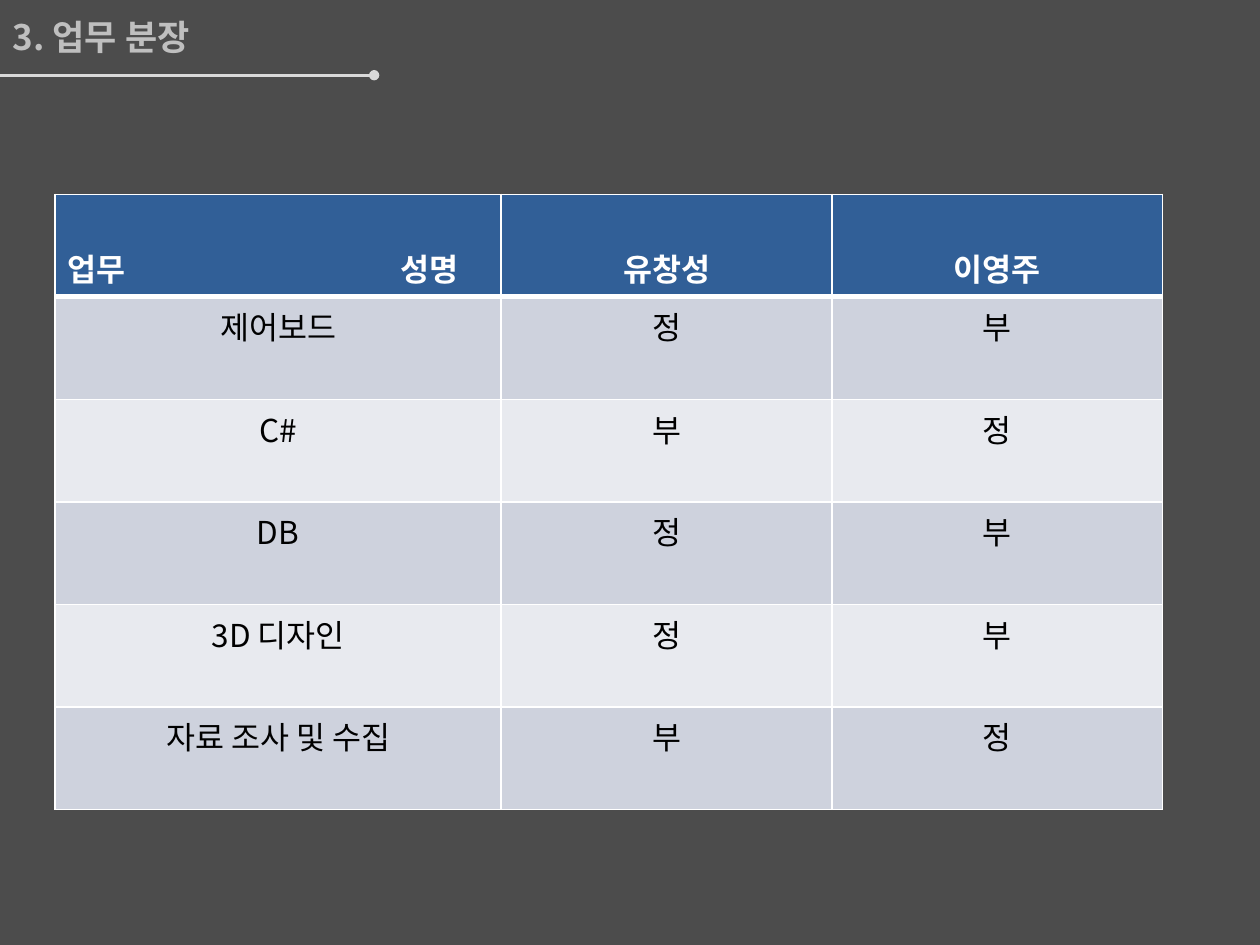
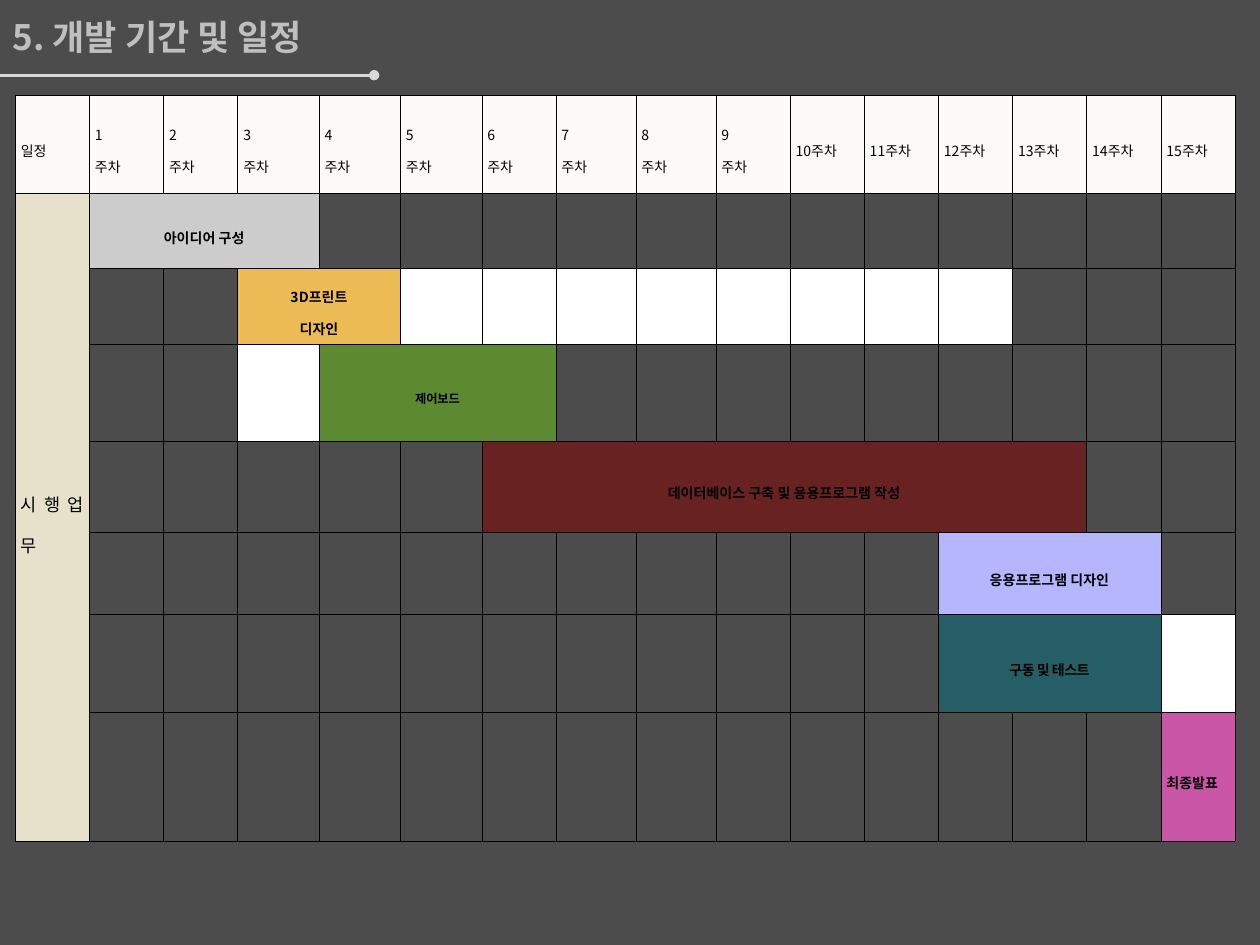
from lxml.etree import SubElement
from pptx import Presentation
from pptx.dml.color import RGBColor
from pptx.enum.shapes import MSO_CONNECTOR as CONN
from pptx.enum.text import MSO_ANCHOR as ANCHOR, MSO_AUTO_SIZE as FIT, PP_ALIGN as ALIGN
from pptx.oxml.ns import qn
from pptx.util import Pt

# Shared style
FONT = "Noto Sans CJK KR"
COLORS = {
    "back": "4C4C4C", "title": "BFBFBF", "rule": "D9D9D9",
    "white": "FFFFFF", "black": "000000",
    "head": "315F97", "band1": "CED2DD", "band2": "E8EAEF",
    "week": "FBFAF7", "side": "E7E1CB",
    "idea": "CCCCCC", "print": "ECBB53", "board": "5D8931", "data": "692222",
    "design": "B6B6FF", "test": "255E65", "final": "CA56A7",
}

# Duties slide
DUTY_TITLE = "3. 업무 분장"
DUTIES = [
    ("업무\t성명", "유창성", "이영주"),
    ("제어보드", "정", "부"),
    ("C#", "부", "정"),
    ("DB", "정", "부"),
    ("3D 디자인", "정", "부"),
    ("자료 조사 및 수집", "부", "정"),
]
DUTY_COLS = [254.9, 189, 189]
DUTY_ROW = 58.6
NAME_TAB = 190

# Schedule slide
PLAN_TITLE = "5. 개발 기간 및 일정"
PLAN_HEAD, PLAN_SIDE = "일정", "시행업무"
WEEKS = 15
PLAN_COLS = [42.4] * 3 + [46.5] * 3 + [42.4] + [45.7] * 2 + [42.4] * 7
PLAN_ROWS = [55.7, 43.2, 43.2, 55.4, 52, 46.9, 56, 73.7]
# Tasks, one a row: lines, first week, last week, fill, changes to the format
TASKS = [
    (["아이디어 구성"], 1, 3, "idea", {}),
    (["3D프린트", "디자인"], 3, 4, "print", {}),
    (["제어보드"], 4, 6, "board", {"size": 7}),
    (["데이터베이스 구축 및 응용프로그램 작성"], 6, 13, "data", {}),
    (["응용프로그램 디자인"], 12, 14, "design", {}),
    (["구동 및 테스트"], 12, 14, "test", {"spacing": -30}),
    (["최종발표"], 15, 15, "final", {"align": ALIGN.JUSTIFY}),
]
# Blank white weeks: row, first week, last week
WHITE_WEEKS = [(2, 5, 12), (3, 3, 3), (6, 15, 15)]


def rgb(name):
    return RGBColor.from_string(COLORS[name])


def write(tf, lines, size, color, bold=False, align=ALIGN.LEFT, leading=None, spacing=0):
    tf.text = "\n".join(lines)
    for p in tf.paragraphs:
        p.alignment, p.line_spacing = align, leading
        for r in p.runs:
            for key, value in {"name": FONT, "size": Pt(size), "bold": bold}.items():
                setattr(r.font, key, value)
            r.font.color.rgb = rgb(color)
            rPr = r.font._element
            SubElement(rPr, qn("a:ea"), typeface=FONT)
            if spacing:
                rPr.set("spc", str(spacing))


def add_page(prs, title):
    """Slide with its title and the round-ended rule below it."""
    slide = prs.slides.add_slide(prs.slide_layouts[5])
    sp = slide.shapes.title
    box = {"left": 0, "top": 5, "width": 646.6, "height": 31.7}
    for key, value in box.items():
        setattr(sp, key, Pt(value))
    tf = sp.text_frame
    for key, value in {"auto_size": FIT.NONE, "vertical_anchor": ANCHOR.TOP,
                       "word_wrap": True}.items():
        setattr(tf, key, value)
    write(tf, [title], 20, "title", bold=True)

    rule = slide.shapes.add_connector(CONN.STRAIGHT, 0, Pt(43), Pt(213.8), Pt(43))
    rule.line.color.rgb, rule.line.width = rgb("rule"), Pt(1.75)
    SubElement(rule.line._get_or_add_ln(), qn("a:tailEnd"), type="oval")
    SubElement(rule._element.spPr, qn("a:effectLst"))
    return slide


def add_borders(cell, color, width, bottom=None):
    tcPr = cell._tc.get_or_add_tcPr()
    for side in "LRTB":
        w = bottom if side == "B" and bottom else width
        ln = SubElement(tcPr, qn("a:ln" + side), w=str(Pt(w)))
        fill = SubElement(ln, qn("a:solidFill"))
        SubElement(fill, qn("a:srgbClr"), val=COLORS[color])


def paint(cell, color):
    cell.fill.solid()
    cell.fill.fore_color.rgb = rgb(color)


def add_grid(slide, left, top, cols, rows):
    frame = slide.shapes.add_table(len(rows), len(cols), Pt(left), Pt(top),
                                   Pt(sum(cols)), Pt(sum(rows)))
    table = frame.table
    table.first_row = table.horz_banding = False
    for col, width in zip(table.columns, cols):
        col.width = Pt(width)
    for row, height in zip(table.rows, rows):
        row.height = Pt(height)
    return table


def build_duties(prs):
    slide = add_page(prs, DUTY_TITLE)
    table = add_grid(slide, 31.5, 111, DUTY_COLS, [DUTY_ROW] * len(DUTIES))
    for i, duty in enumerate(DUTIES):
        head = i == 0
        for j, text in enumerate(duty):
            cell = table.cell(i, j)
            add_borders(cell, "white", 1, 3 if head else None)
            paint(cell, "head" if head else "band1" if i % 2 else "band2")
            cell.vertical_anchor = ANCHOR.BOTTOM if head else ANCHOR.TOP
            write(cell.text_frame, [text], 18, "white" if head else "black", head,
                  ALIGN.LEFT if head and j == 0 else ALIGN.CENTER)
    # The corner cell holds both headings, set apart by a tab stop
    pPr = table.cell(0, 0).text_frame.paragraphs[0]._p.get_or_add_pPr()
    tabs = SubElement(pPr, qn("a:tabLst"))
    SubElement(tabs, qn("a:tab"), pos=str(Pt(NAME_TAB)), algn="l")


def fill_plan(cell, lines, color, **changes):
    paint(cell, color)
    margins = {"margin_left": 3.2, "margin_right": 3.2, "margin_top": 1, "margin_bottom": 1}
    for key, value in margins.items():
        setattr(cell, key, Pt(value))
    cell.vertical_anchor = ANCHOR.MIDDLE
    style = {"size": 8, "color": "black", "align": ALIGN.JUSTIFY, "leading": 1.6}
    write(cell.text_frame, lines, **{**style, **changes})


def build_plan(prs):
    slide = add_page(prs, PLAN_TITLE)
    table = add_grid(slide, 8.7, 54.6, PLAN_COLS, PLAN_ROWS)
    for cell in table.iter_cells():
        add_borders(cell, "black", 0.28)
        cell.fill.background()

    # Headings: one-digit weeks break after the number
    fill_plan(table.cell(0, 0), [PLAN_HEAD], "week")
    for week in range(1, WEEKS + 1):
        lines = [str(week), "주차"] if week < 10 else [f"{week}주차"]
        fill_plan(table.cell(0, week), lines, "week")
    side = table.cell(1, 0)
    side.merge(table.cell(len(TASKS), 0))
    fill_plan(side, [PLAN_SIDE], "side", size=10)

    # Task bars and white weeks
    for row, (lines, first, last, color, changes) in enumerate(TASKS, 1):
        bar = table.cell(row, first)
        if last > first:
            bar.merge(table.cell(row, last))
        fill_plan(bar, lines, color, **{"bold": True, "align": ALIGN.CENTER, **changes})
    for row, first, last in WHITE_WEEKS:
        for week in range(first, last + 1):
            paint(table.cell(row, week), "white")


def main():
    prs = Presentation()
    prs.slide_width, prs.slide_height = Pt(720), Pt(540)
    back = prs.slide_master.background.fill
    back.solid()
    back.fore_color.rgb = rgb("back")
    build_duties(prs)
    build_plan(prs)
    prs.save("out.pptx")


if __name__ == "__main__":
    main()
